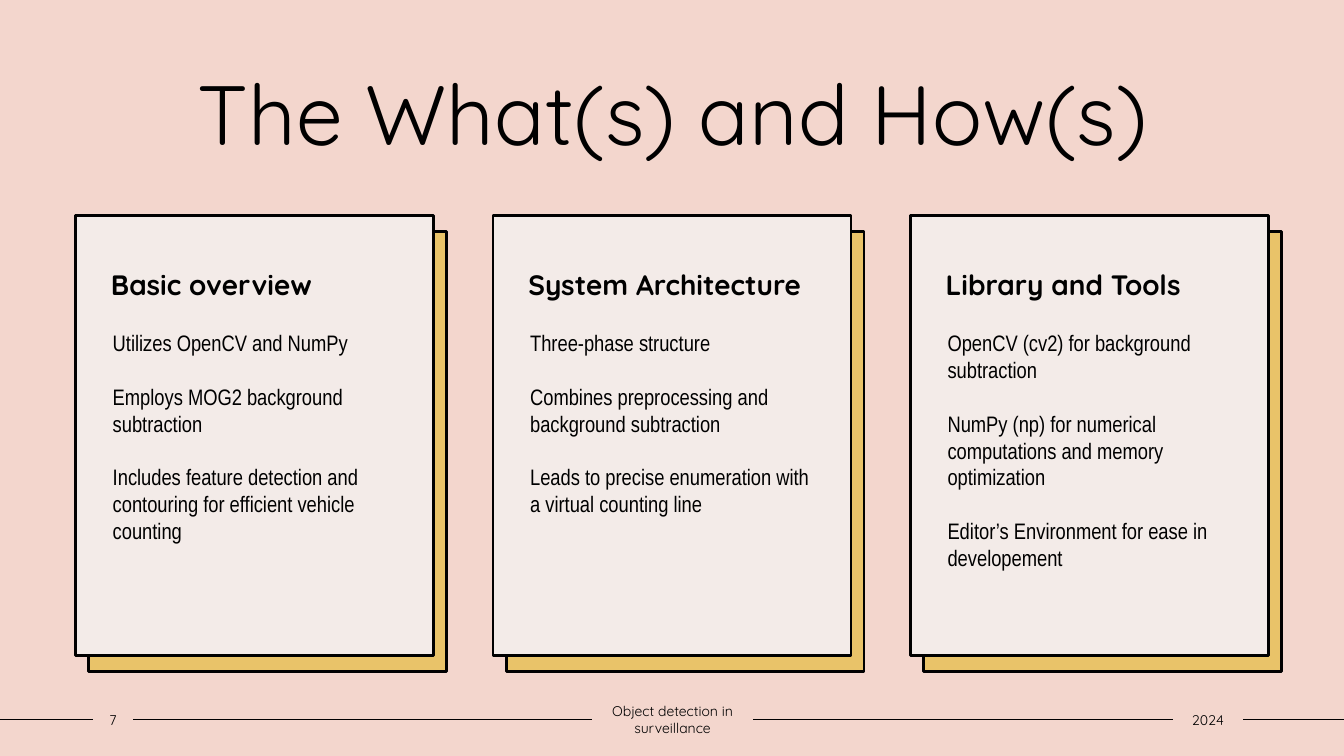
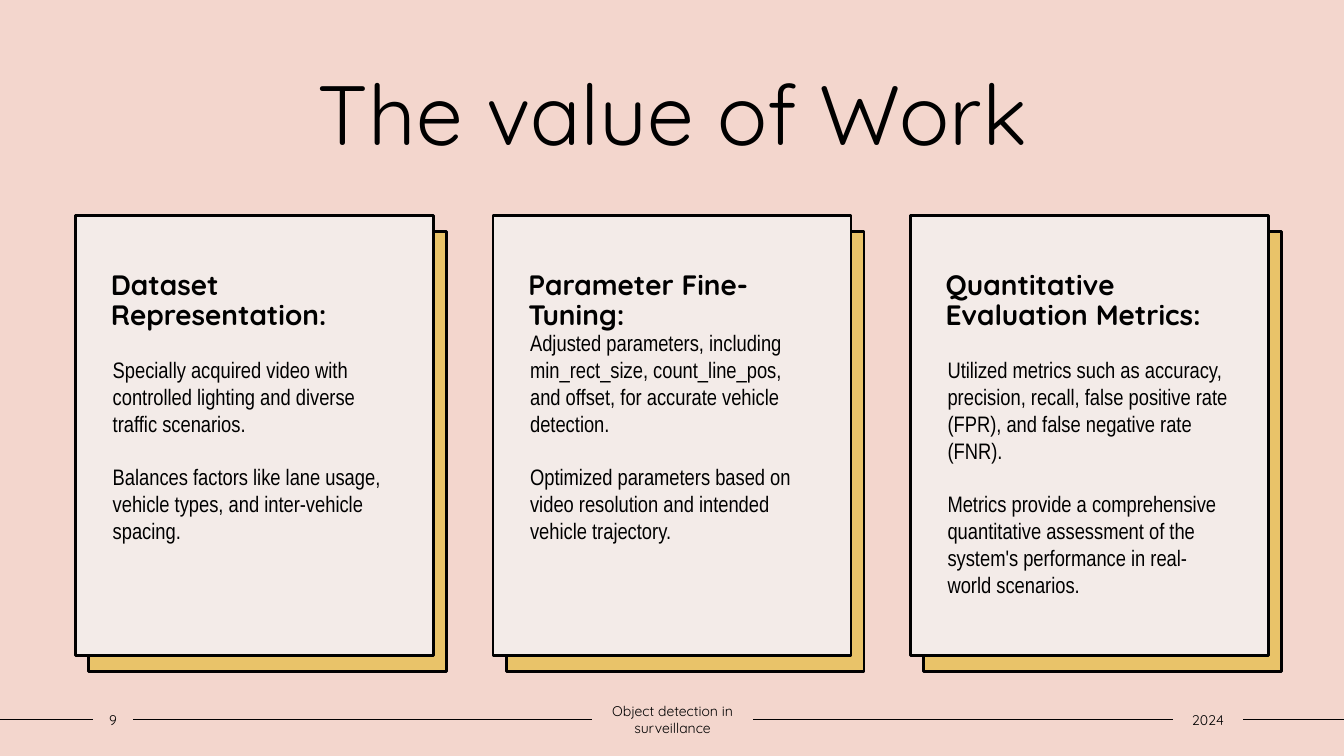
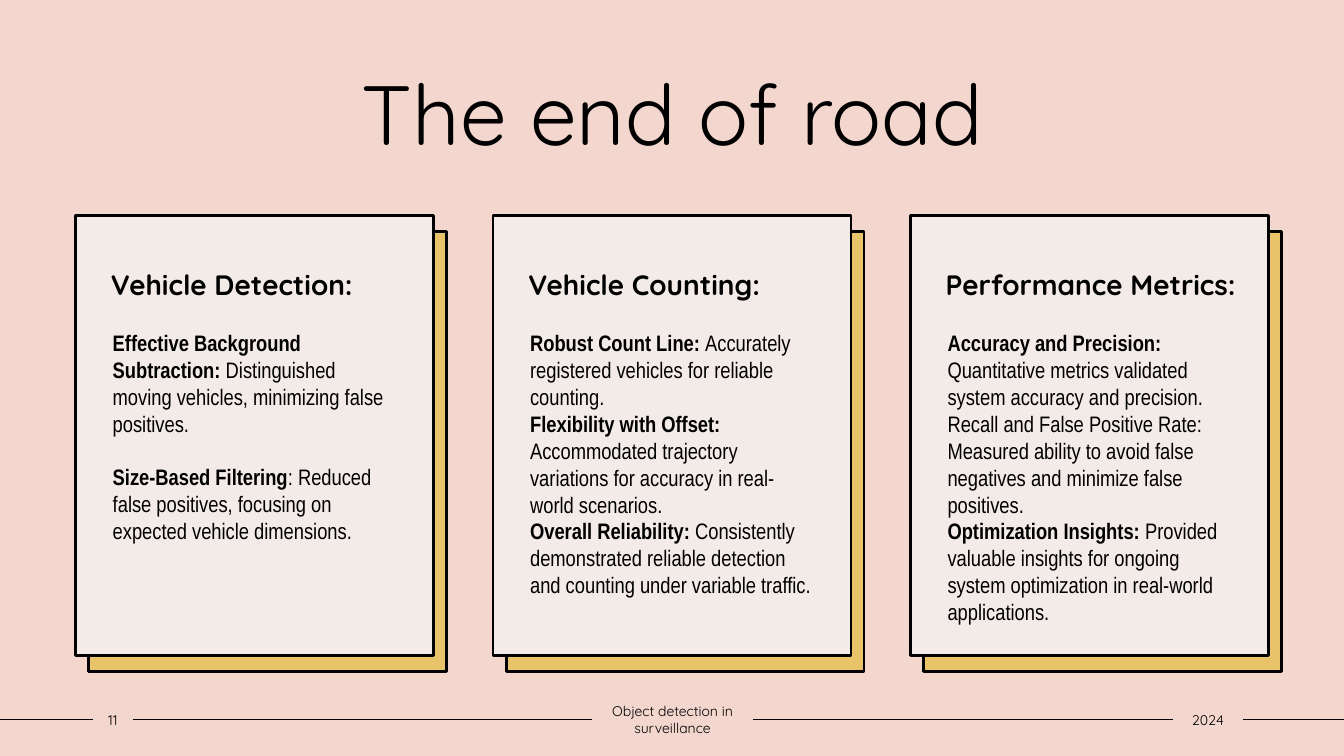
from dataclasses import dataclass
from typing import Optional

from lxml.etree import SubElement
from pptx import Presentation
from pptx.dml.color import RGBColor
from pptx.enum.shapes import MSO_CONNECTOR as Connector, MSO_SHAPE as Preset
from pptx.enum.text import MSO_ANCHOR as Anchor, MSO_AUTO_SIZE as AutoSize, PP_ALIGN as Align
from pptx.oxml.ns import qn
from pptx.util import Inches, Pt

COLOURS = {"background": "F3D6CD", "card": "F3EBE8", "shadow": "E9C369", "ink": "000000"}
FONTS = {
    "title": {"name": "Quicksand", "size": Pt(60), "bold": False},
    "heading": {"name": "Quicksand", "size": Pt(20), "bold": True},
    "body": {"name": "Arial Narrow", "size": Pt(16), "bold": False},
    "lead": {"name": "Arial Narrow", "size": Pt(16), "bold": True},
    "footer": {"name": "Quicksand", "size": Pt(10), "bold": False},
}
SLIDE_WIDTH, SLIDE_HEIGHT = 13.33, 7.5
TITLE_ONLY = 5
LEFT_SIDE, RIGHT_SIDE = 1, 3
BODY_LINE = 19  # points


@dataclass(frozen=True)
class Box:
    left: float
    top: float
    width: float
    height: float

    def shifted(self, right: float, down: float = 0) -> "Box":
        return Box(self.left + right, self.top + down, self.width, self.height)

    def lengths(self) -> tuple:
        return tuple(Inches(n) for n in (self.left, self.top, self.width, self.height))


@dataclass(frozen=True)
class Point:
    text: str
    lead: str = ""


@dataclass(frozen=True)
class Card:
    heading: str
    points: tuple[Point, ...]
    gap: int = BODY_LINE
    lines_down: int = 0


@dataclass(frozen=True)
class Page:
    number: int
    title: str
    cards: tuple[Card, ...]


TITLE_BOX = Box(1.25, 0.56, 10.84, 1.11)
CARD_BOX = Box(0.75, 2.14, 3.55, 4.36)
BODY_BOX = Box(1.02, 3.22, 3, 3.05)
COLUMN_PITCH = 4.14
SHADOW_OFFSET = (0.13, 0.16)
FOOTER_BOXES = tuple(Box(left, 7, width, 0.28)
                     for left, width in ((0.92, 0.4), (5.87, 1.6), (11.63, 0.7)))

PAGES = (
    Page(7, "The What(s) and How(s)", (
        Card("Basic overview", (
            Point("Utilizes OpenCV and NumPy"),
            Point("Employs MOG2 background subtraction"),
            Point("Includes feature detection and contouring for efficient vehicle counting"),
        )),
        Card("System Architecture", (
            Point("Three-phase structure"),
            Point("Combines preprocessing and background subtraction"),
            Point("Leads to precise enumeration with a virtual counting line"),
        )),
        Card("Library and Tools", (
            Point("OpenCV (cv2) for background subtraction"),
            Point("NumPy (np) for numerical computations and memory optimization"),
            Point("Editor’s Environment for ease in developement"),
        )),
    )),
    Page(9, "The value of Work", (
        Card("Dataset Representation:", (
            Point("Specially acquired video with controlled lighting and diverse "
                  "traffic scenarios."),
            Point("Balances factors like lane usage, vehicle types, and inter-vehicle spacing."),
        ), lines_down=1),
        Card("Parameter Fine-Tuning:", (
            Point("Adjusted parameters, including min_rect_size, count_line_pos, and offset, "
                  "for accurate vehicle detection."),
            Point("Optimized parameters based on video resolution and intended "
                  "vehicle trajectory."),
        )),
        Card("Quantitative Evaluation Metrics:", (
            Point("Utilized metrics such as accuracy, precision, recall, false positive rate "
                  "(FPR), and false negative rate (FNR)."),
            Point("Metrics provide a comprehensive quantitative assessment of the system's "
                  "performance in real-world scenarios."),
        ), lines_down=1),
    )),
    Page(11, "The end of road", (
        Card("Vehicle Detection:", (
            Point("Distinguished moving vehicles, minimizing false positives.",
                  "Effective Background Subtraction: "),
            Point(": Reduced false positives, focusing on expected vehicle dimensions.",
                  "Size-Based Filtering"),
        )),
        Card("Vehicle Counting:", (
            Point("Accurately registered vehicles for reliable counting.",
                  "Robust Count Line: "),
            Point("Accommodated trajectory variations for accuracy in real-world scenarios.",
                  "Flexibility with Offset: "),
            Point("Consistently demonstrated reliable detection and counting under "
                  "variable traffic.", "Overall Reliability: "),
        ), gap=0),
        Card("Performance Metrics:", (
            Point("Quantitative metrics validated system accuracy and precision.",
                  "Accuracy and Precision: "),
            Point("Recall and False Positive Rate: Measured ability to avoid false negatives "
                  "and minimize false positives."),
            Point("Provided valuable insights for ongoing system optimization in real-world "
                  "applications.", "Optimization Insights: "),
        ), gap=0),
    )),
)


def colour(name: str) -> RGBColor:
    return RGBColor.from_string(COLOURS[name])


def set_attributes(target, values: dict) -> None:
    for name, value in values.items():
        setattr(target, name, value)


def add_run(paragraph, text: str, style: str) -> None:
    run = paragraph.add_run()
    run.text = text
    set_attributes(run.font, FONTS[style])
    run.font.color.rgb = colour("ink")


def set_line(line, width: float) -> None:
    line.color.rgb = colour("ink")
    line.width = Pt(width)


def add_panel(slide, box: Box, fill: str):
    panel = slide.shapes.add_shape(Preset.RECTANGLE, *box.lengths())
    panel.shadow.inherit = False
    panel.fill.solid()
    panel.fill.fore_color.rgb = colour(fill)
    set_line(panel.line, 2)
    return panel


def add_title(slide, text: str) -> None:
    title = slide.shapes.title
    set_attributes(title, dict(zip(("left", "top", "width", "height"), TITLE_BOX.lengths())))
    set_attributes(title.text_frame, {"auto_size": AutoSize.NONE, "word_wrap": True,
                                      "vertical_anchor": Anchor.TOP})
    paragraph = title.text_frame.paragraphs[0]
    paragraph.alignment = Align.CENTER
    add_run(paragraph, text, "title")


def add_card(slide, card: Card, column: int) -> None:
    right = column * COLUMN_PITCH
    box = CARD_BOX.shifted(right)
    add_panel(slide, box.shifted(*SHADOW_OFFSET), "shadow")
    frame = add_panel(slide, box, "card").text_frame
    set_attributes(frame, {"word_wrap": True, "vertical_anchor": Anchor.TOP,
                           "margin_left": Inches(0.35), "margin_top": Inches(0.55),
                           "margin_right": Inches(0.1), "margin_bottom": Inches(0.05)})
    heading = frame.paragraphs[0]
    set_attributes(heading, {"alignment": Align.LEFT, "line_spacing": 0.9})
    add_run(heading, card.heading, "heading")

    body_box = BODY_BOX.shifted(right, card.lines_down * BODY_LINE / 72)
    body = slide.shapes.add_textbox(*body_box.lengths()).text_frame
    body.word_wrap = True
    for index, point in enumerate(card.points):
        paragraph = body.add_paragraph() if index else body.paragraphs[0]
        if index:
            paragraph.space_before = Pt(card.gap)
        if point.lead:
            add_run(paragraph, point.lead, "lead")
        add_run(paragraph, point.text, "body")


def add_footer_label(slide, box: Box, text: str):
    label = slide.shapes.add_textbox(*box.lengths())
    set_attributes(label.text_frame, {"word_wrap": True, "vertical_anchor": Anchor.MIDDLE,
                                      "margin_left": 0, "margin_right": 0})
    paragraph = label.text_frame.paragraphs[0]
    paragraph.alignment = Align.CENTER
    add_run(paragraph, text, "footer")
    return label


def add_footer_line(slide, before: Optional[object], after: Optional[object]) -> None:
    """Join two labels; a missing label stands for the slide's edge."""
    middle = Inches(FOOTER_BOXES[0].top + FOOTER_BOXES[0].height / 2)
    line = slide.shapes.add_connector(Connector.STRAIGHT, 0, middle, Inches(SLIDE_WIDTH), middle)
    set_line(line.line, 1)
    SubElement(line._element.spPr, qn("a:effectLst"))
    if before is not None:
        line.begin_connect(before, RIGHT_SIDE)
    if after is not None:
        line.end_connect(after, LEFT_SIDE)


def add_footer(slide, number: int) -> None:
    texts = (str(number), "Object detection in surveillance", "2024")
    labels = [add_footer_label(slide, box, text) for box, text in zip(FOOTER_BOXES, texts)]
    for before, after in zip([None, *labels], [*labels, None]):
        add_footer_line(slide, before, after)


def main() -> None:
    presentation = Presentation()
    presentation.slide_width = Inches(SLIDE_WIDTH)
    presentation.slide_height = Inches(SLIDE_HEIGHT)
    background = presentation.slide_master.background.fill
    background.solid()
    background.fore_color.rgb = colour("background")
    for page in PAGES:
        slide = presentation.slides.add_slide(presentation.slide_layouts[TITLE_ONLY])
        add_title(slide, page.title)
        for column, card in enumerate(page.cards):
            add_card(slide, card, column)
        add_footer(slide, page.number)
    presentation.save("out.pptx")


if __name__ == "__main__":
    main()
